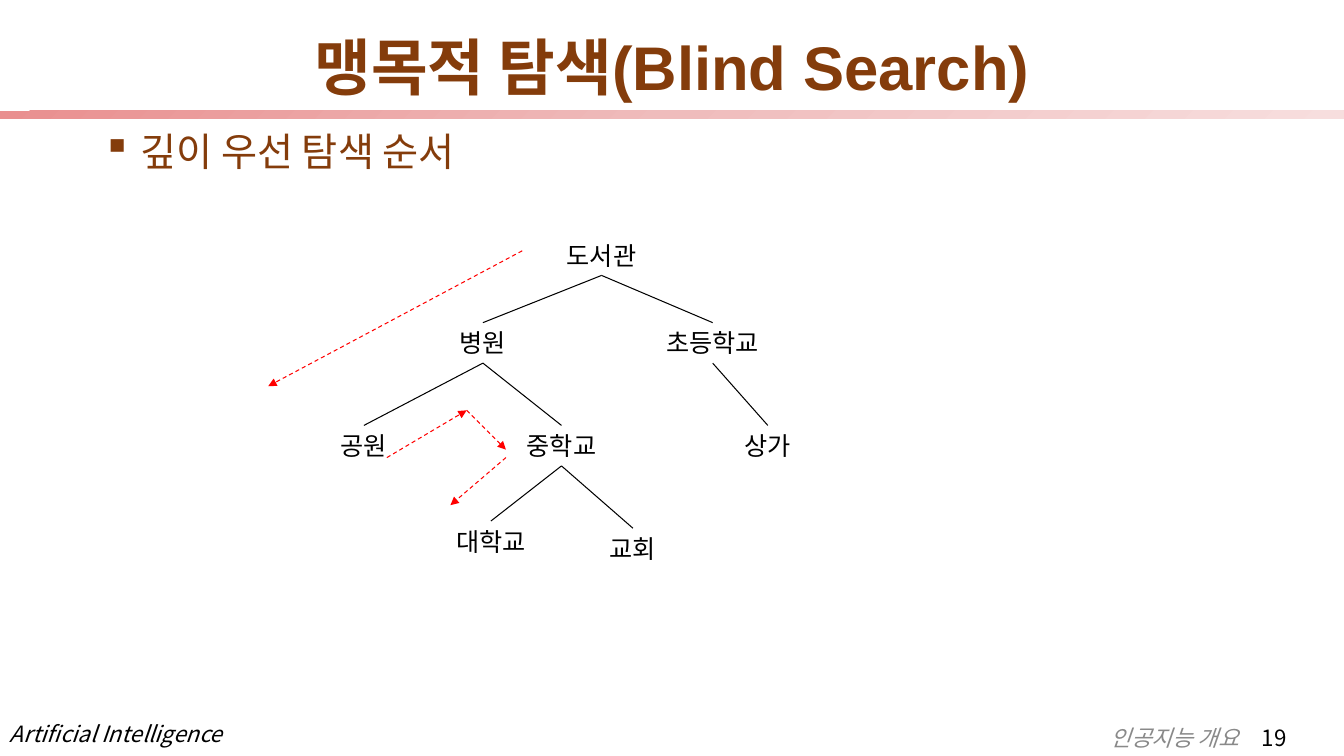
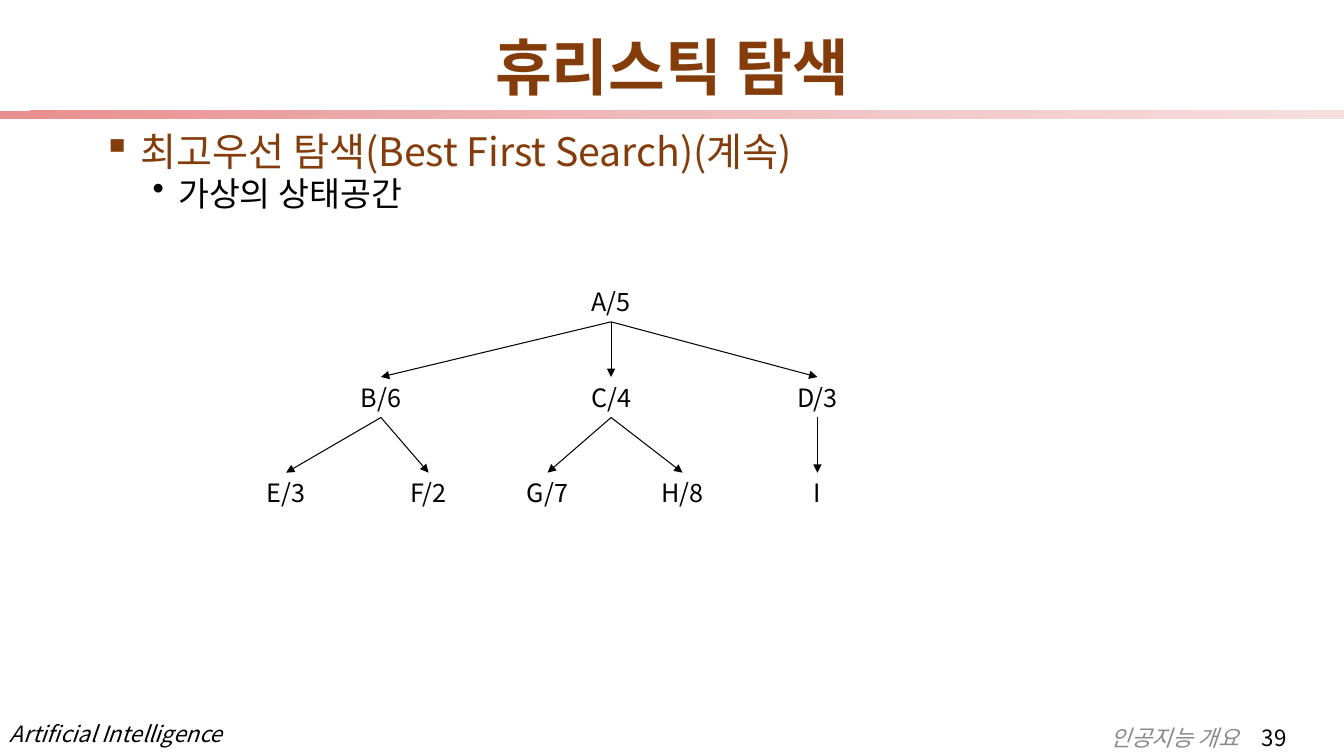
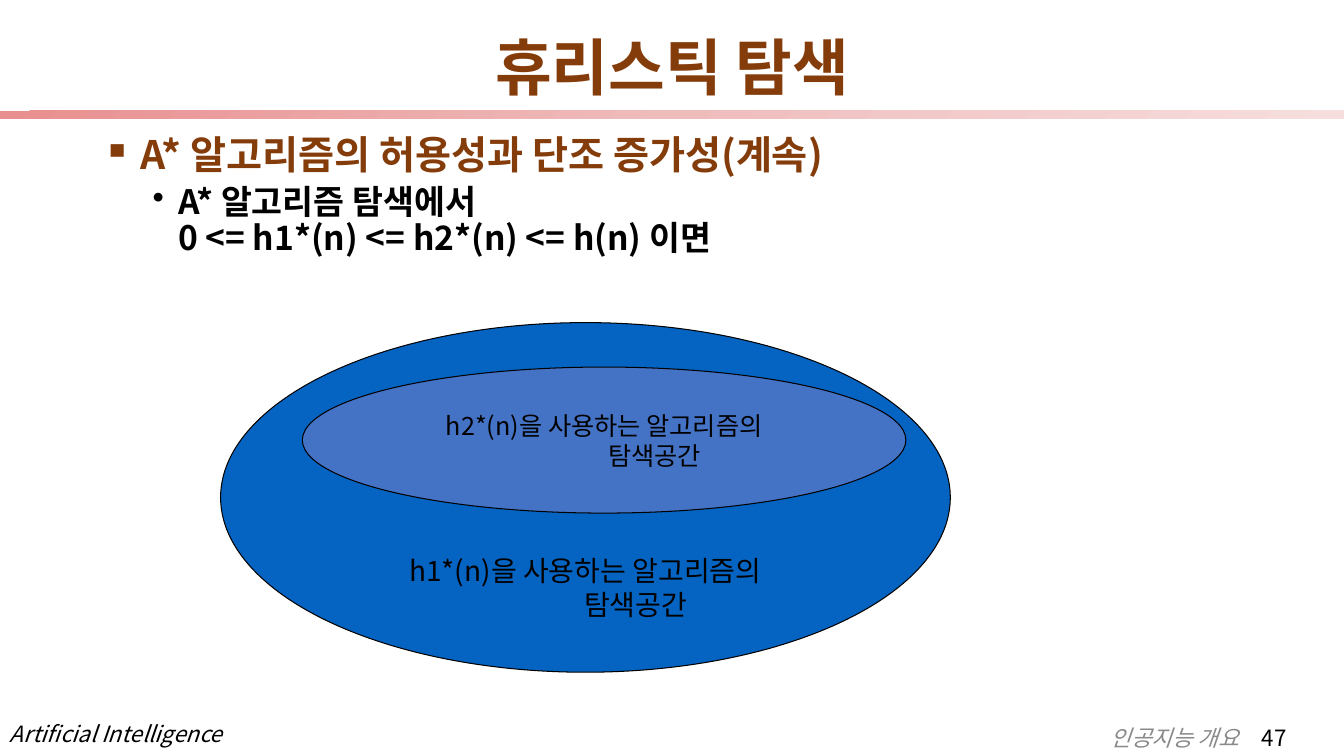
import copy

import pptx
import pptx.dml.color
import pptx.enum.dml
import pptx.enum.shapes
import pptx.enum.text
import pptx.oxml
import pptx.oxml.ns
import pptx.util

Cm = pptx.util.Cm
RGBColor = pptx.dml.color.RGBColor
qn = pptx.oxml.ns.qn
Align = pptx.enum.text.PP_ALIGN
Anchor = pptx.enum.text.MSO_ANCHOR
Preset = pptx.enum.shapes.MSO_SHAPE

BLACK = RGBColor(0, 0, 0)
BROWN = RGBColor(0x84, 0x3C, 0x0B)
GREY = RGBColor(0x89, 0x89, 0x89)
RED = RGBColor(0xFF, 0, 0)
DEEP_BLUE = RGBColor(0x05, 0x63, 0xC1)
SOFT_BLUE = RGBColor(0x44, 0x72, 0xC4)
BAND_STOPS = [
    (0, RGBColor(0xE9, 0x8F, 0x8F)),
    (0.5, RGBColor(0xEF, 0xBC, 0xBC)),
    (1, RGBColor(0xF7, 0xDE, 0xDE)),
]
LATIN = "Arial"
KOREAN = "Noto Sans CJK KR"
NODE_HEIGHT = 1.02


def add_xml(parent, tag, **attributes):
    """Append a drawing element with its attributes and return it."""
    element = pptx.oxml.parse_xml(f"<a:{tag} {pptx.oxml.ns.nsdecls('a')}/>")
    for key, value in attributes.items():
        element.set(key, str(value))
    parent.append(element)
    return element


def write(frame, text, size=18, color=BLACK, font=KOREAN, bold=False, italic=False,
          align=Align.LEFT, line_spacing=None, before=0, level=0, left=0, hanging=0,
          bullet=None, tab=None, join=False):
    """Write a paragraph into a frame, or join the text to its last one."""
    paragraph = frame.paragraphs[-1]
    if not join:
        if paragraph.runs:
            paragraph = frame.add_paragraph()
        paragraph.alignment = align
        paragraph.level = level
        paragraph.space_before = pptx.util.Pt(before)
        if line_spacing:
            paragraph.line_spacing = line_spacing
        properties = paragraph._p.get_or_add_pPr()
        properties.set("marL", str(Cm(left)))
        properties.set("indent", str(Cm(-hanging)))
        if bullet:
            add_xml(properties, "buChar", char=bullet)
        if tab:
            add_xml(add_xml(properties, "tabLst"), "tab", pos=Cm(tab), algn="l")
    for index, line in enumerate(text.split("\n")):
        if index:
            paragraph.add_line_break()
        run = paragraph.add_run()
        run.text = line
        run.font.size = pptx.util.Pt(size)
        run.font.color.rgb = color
        run.font.name = font
        run.font.bold = bold
        run.font.italic = italic
        add_xml(run._r.get_or_add_rPr(), "ea", typeface=KOREAN)


class Deck:
    """Holds the lecture style and the slide being filled."""

    def __init__(self):
        """Start a wide presentation."""
        self.presentation = pptx.Presentation()
        self.presentation.slide_width = Cm(33.87)
        self.presentation.slide_height = Cm(19.05)
        self.slide = None

    def start_slide(self, title, number):
        """Add a slide with its title, band and footers."""
        self.slide = self.presentation.slides.add_slide(self.presentation.slide_layouts[6])
        course = self.box(0, 18.11, 5.89, 0.86, wrap=False)
        write(course, "Artificial Intelligence", size=16, italic=True,
              line_spacing=0.9, before=5)
        self.band()
        chapter = self.box(27.74, 18.19, 5.38, 0.86)
        write(chapter, "인공지능 개요\t", size=16, color=GREY, font=LATIN, italic=True,
              line_spacing=0.9, before=5, tab=3.71)
        write(chapter, str(number), size=16, join=True)
        heading = self.box(2.34, 1.02, 29.21, 1.52, anchor=Anchor.MIDDLE)
        write(heading, title, size=44, color=BROWN, font=LATIN, bold=True,
              align=Align.CENTER, line_spacing=0.9)

    def box(self, left, top, width, height, wrap=True, anchor=Anchor.TOP):
        """Add a text box and return its frame."""
        frame = self.slide.shapes.add_textbox(
            Cm(left), Cm(top), Cm(width), Cm(height)).text_frame
        frame.word_wrap = wrap
        frame.auto_size = pptx.enum.text.MSO_AUTO_SIZE.NONE
        frame.vertical_anchor = anchor
        return frame

    def band(self):
        """Draw the gradient band under the title."""
        band = self.slide.shapes.add_shape(
            Preset.RECTANGLE, Cm(0), Cm(2.79), Cm(33.87), Cm(0.2))
        band.shadow.inherit = False
        band.line.fill.background()
        band.fill.gradient()
        band.fill.gradient_angle = 315
        stop_list = band._element.spPr.find(".//" + qn("a:gsLst"))
        stop_list.insert(1, copy.deepcopy(stop_list[0]))
        for stop, (position, color) in zip(band.fill.gradient_stops, BAND_STOPS):
            stop.position = position
            stop.color.rgb = color

    def outline(self, topic, detail=None, line_spacing=0.8, bold=False):
        """Write the topic and an optional detail under it."""
        body = self.box(2.34, 3.3, 29.21, 14.83)
        write(body, topic, size=28, color=BROWN, bold=bold, line_spacing=line_spacing,
              before=10, left=0.95, hanging=0.95, bullet="▪")
        if detail:
            write(body, detail, size=24, bold=bold, line_spacing=line_spacing,
                  before=5, level=1, left=1.9, hanging=0.64, bullet="•")

    def line(self, start, end, color=BLACK, arrow=False, dashed=False):
        """Draw a thin line between two points."""
        connector = self.slide.shapes.add_connector(
            pptx.enum.shapes.MSO_CONNECTOR.STRAIGHT, *(Cm(c) for c in (*start, *end)))
        connector.line.color.rgb = color
        connector.line.width = pptx.util.Pt(0.75)
        if dashed:
            connector.line.dash_style = pptx.enum.dml.MSO_LINE.DASH
        properties = connector._element.spPr
        if arrow:
            add_xml(properties.find(qn("a:ln")), "tailEnd", type="triangle")
        add_xml(properties, "effectLst")

    def tree(self, nodes, branches, node_width, arrow=False):
        """Draw nodes given as (centre, top) and the branches between them."""
        for name, (center, top) in nodes.items():
            label = self.box(center - node_width / 2, top, node_width, NODE_HEIGHT)
            write(label, name, align=Align.CENTER)
        for parent, children in branches.items():
            center, top = nodes[parent]
            for child in children:
                self.line((center, top + NODE_HEIGHT), nodes[child], arrow=arrow)

    def search_space(self, left, top, width, height, heuristic, fill, size, anchor):
        """Draw an ellipse that names the heuristic searching it."""
        ellipse = self.slide.shapes.add_shape(
            Preset.OVAL, Cm(left), Cm(top), Cm(width), Cm(height))
        ellipse.shadow.inherit = False
        ellipse.fill.solid()
        ellipse.fill.fore_color.rgb = fill
        ellipse.line.color.rgb = BLACK
        ellipse.line.width = pptx.util.Pt(0.75)
        frame = ellipse.text_frame
        frame.word_wrap = True
        frame.vertical_anchor = anchor
        frame.margin_top = frame.margin_bottom = 0
        write(frame, f"{heuristic}을 사용하는 알고리즘의", size=size, align=Align.CENTER)
        write(frame, "탐색공간", size=size, align=Align.CENTER, left=2.54)


def blind_search(deck):
    """Build the depth-first order slide."""
    deck.start_slide("맹목적 탐색(Blind Search)", 19)
    deck.outline("깊이 우선 탐색 순서")
    places = {
        "도서관": (15.16, 5.92),
        "병원": (12.17, 8.13), "초등학교": (17.96, 8.13),
        "공원": (9.17, 10.72), "중학교": (14.15, 10.72), "상가": (19.35, 10.72),
        "대학교": (12.37, 13.13), "교회": (15.95, 13.31),
    }
    roads = {
        "도서관": ["병원", "초등학교"],
        "병원": ["공원", "중학교"],
        "중학교": ["대학교", "교회"],
        "초등학교": ["상가"],
    }
    deck.tree(places, roads, 3.2)
    visits = [
        ((13.16, 6.32), (6.76, 9.73)),
        ((9.75, 11.53), (11.76, 10.34)),
        ((11.76, 10.34), (12.75, 11.33)),
        ((12.75, 11.53), (11.35, 12.73)),
    ]
    for start, end in visits:
        deck.line(start, end, color=RED, arrow=True, dashed=True)


def best_first_search(deck):
    """Build the best-first state space slide."""
    deck.start_slide("휴리스틱 탐색", 39)
    deck.outline("최고우선 탐색(Best First Search)(계속)", "가상의 상태공간")
    levels = [
        {"A/5": 15.4},
        {"B/6": 9.6, "C/4": 15.4, "D/3": 20.6},
        {"E/3": 7.21, "F/2": 10.8, "G/7": 13.8, "H/8": 17.2, "I": 20.6},
    ]
    states = {name: (center, 7.09 + 2.41 * depth)
              for depth, level in enumerate(levels) for name, center in level.items()}
    moves = {
        "A/5": ["B/6", "C/4", "D/3"],
        "B/6": ["E/3", "F/2"],
        "C/4": ["G/7", "H/8"],
        "D/3": ["I"],
    }
    deck.tree(states, moves, 2.8, arrow=True)


def admissibility(deck):
    """Build the A* admissibility slide."""
    deck.start_slide("휴리스틱 탐색", 47)
    deck.outline("A* 알고리즘의 허용성과 단조 증가성(계속)",
                 "A* 알고리즘 탐색에서\n0 <= h1*(n) <= h2*(n) <= h(n) 이면",
                 line_spacing=0.9, bold=True)
    deck.search_space(5.56, 8.13, 18.39, 8.81, "h1*(n)", DEEP_BLUE, 20, Anchor.BOTTOM)
    deck.search_space(7.62, 9.25, 15.21, 3.68, "h2*(n)", SOFT_BLUE, 18, Anchor.MIDDLE)


lecture = Deck()
blind_search(lecture)
best_first_search(lecture)
admissibility(lecture)
lecture.presentation.save("out.pptx")
